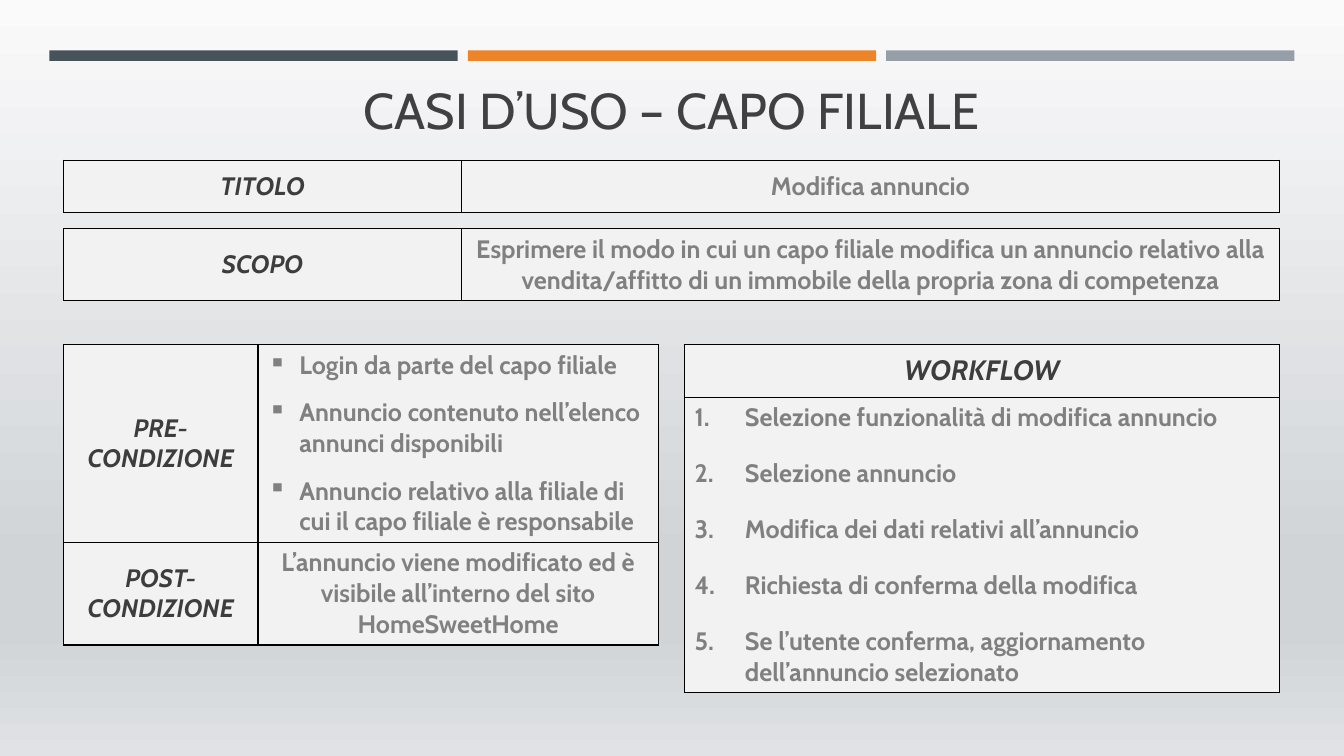
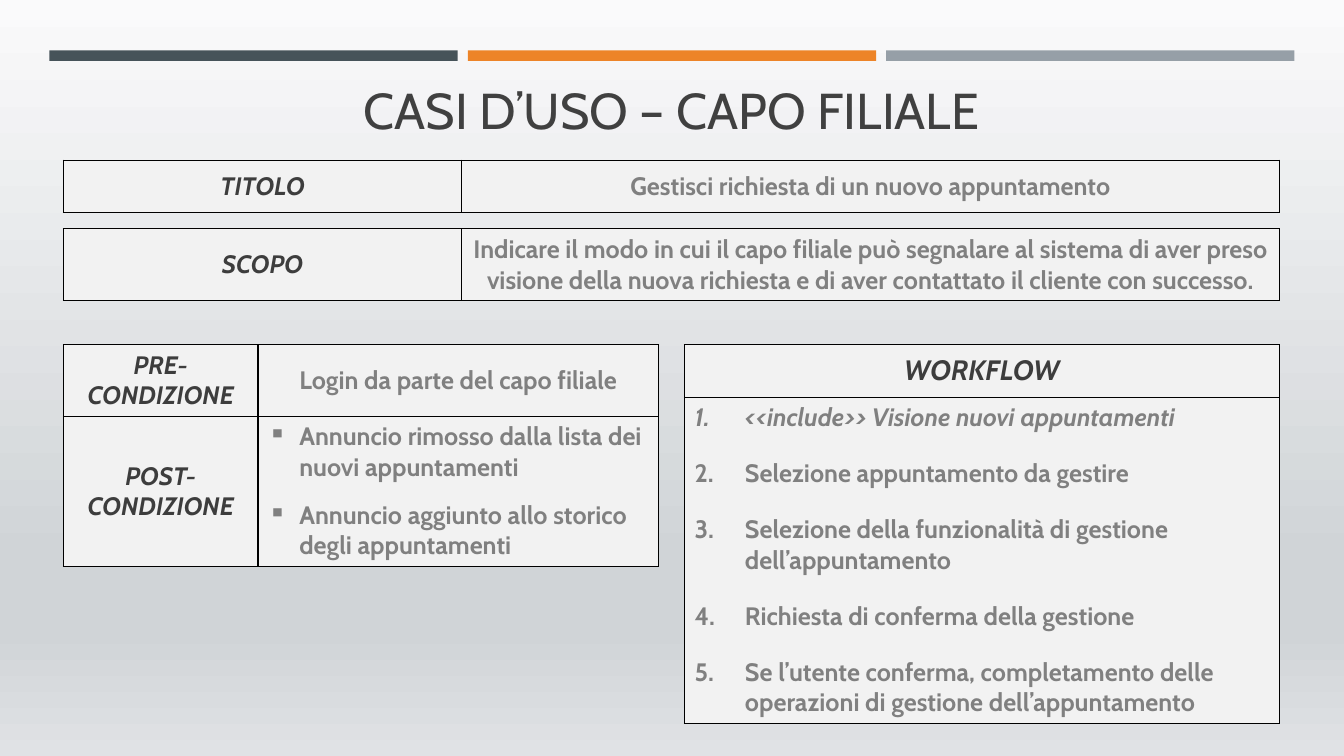
"""Builds two use-case slides for the branch manager of an estate agency."""
from dataclasses import dataclass
from typing import Optional

from pptx import Presentation
from pptx import util as u
from pptx.dml.color import RGBColor
from pptx.enum import shapes, text
from pptx.oxml.ns import qn
from lxml import etree


@dataclass(frozen=True)
class Theme:
    font: str = "Cabin"
    title: str = "404040"
    label: str = "3D3D3D"
    body: str = "808080"
    cell: str = "F2F2F2"
    border: str = "000000"
    bars: tuple = ("465359", "ED8428", "969FA7")
    backdrop: tuple = ((0, "FAFAFB"), (74, "D0D4D7"), (83, "D0D4D7"), (100, "E0E2E5"))
    title_size: int = 36
    heading_size: int = 20
    body_size: int = 18
    border_width: int = 1


@dataclass(frozen=True)
class Marker:
    tag: str
    attribute: str
    value: str
    indent: float
    gap: int
    last_gap: int


@dataclass(frozen=True)
class Cell:
    lines: tuple
    label: bool = False
    size: int = 18
    marker: Optional[Marker] = None
    italic_lines: tuple = ()


@dataclass(frozen=True)
class Grid:
    left: float
    top: float
    columns: tuple
    heights: tuple
    rows: tuple


@dataclass(frozen=True)
class UseCase:
    name: str
    purpose: str
    before: Cell
    after: Cell
    condition_heights: tuple
    steps: Cell
    steps_height: float


THEME = Theme()
SLIDE_WIDTH, SLIDE_HEIGHT = u.Inches(13.33), u.Inches(7.5)
HEADING = "CASI D’USO – CAPO FILIALE"

LEFT, WIDTH, HALF = 4.72, 90.47, 44.26
WIDE_COLUMNS = (29.63, 60.84)
CONDITION_COLUMNS = (14.48, 29.78)
ROW = 6.93
NAME_TOP, PURPOSE_TOP, DETAILS_TOP = 21.2, 30.27, 45.6
PURPOSE_HEIGHT = 9.47
BAR_LEFT, BAR_TOP, BAR_WIDTH, BAR_HEIGHT, BAR_STEP = 3.68, 6.67, 30.38, 1.4, 31.13
TITLE_TOP, TITLE_HEIGHT = 8.27, 10.93

SQUARES = Marker("a:buChar", "char", "▪", 0.31, 12, 6)
NUMBERS = Marker("a:buAutoNum", "type", "arabicPeriod", 0.5, 18, 6)

USE_CASES = (
    UseCase(
        name="Modifica annuncio",
        purpose="Esprimere il modo in cui un capo filiale modifica un annuncio relativo alla "
                "vendita/affitto di un immobile della propria zona di competenza",
        before=Cell((
            "Login da parte del capo filiale",
            "Annuncio contenuto nell’elenco annunci disponibili",
            "Annuncio relativo alla filiale di cui il capo filiale è responsabile",
        ), marker=SQUARES),
        after=Cell(("L’annuncio viene modificato ed è visibile all’interno del sito HomeSweetHome",)),
        condition_heights=(26, 13.6),
        steps=Cell((
            "Selezione funzionalità di modifica annuncio",
            "Selezione annuncio",
            "Modifica dei dati relativi all’annuncio",
            "Richiesta di conferma della modifica",
            "Se l’utente conferma, aggiornamento dell’annuncio selezionato",
        ), marker=NUMBERS),
        steps_height=38.93,
    ),
    UseCase(
        name="Gestisci richiesta di un nuovo appuntamento",
        purpose="Indicare il modo in cui il capo filiale può segnalare al sistema di aver preso "
                "visione della nuova richiesta e di aver contattato il cliente con successo.",
        before=Cell(("Login da parte del capo filiale",)),
        after=Cell((
            "Annuncio rimosso dalla lista dei nuovi appuntamenti",
            "Annuncio aggiunto allo storico degli appuntamenti",
        ), marker=SQUARES),
        condition_heights=(9.33, 19.87),
        steps=Cell((
            "<<include>> Visione nuovi appuntamenti",
            "Selezione appuntamento da gestire",
            "Selezione della funzionalità di gestione dell’appuntamento",
            "Richiesta di conferma della gestione",
            "Se l’utente conferma, completamento delle operazioni di gestione dell’appuntamento",
        ), marker=NUMBERS, italic_lines=(0,)),
        steps_height=42.93,
    ),
)


def across(percent: float) -> int:
    """Turn a percentage of the slide's width into a length."""
    return round(SLIDE_WIDTH * percent / 100)


def down(percent: float) -> int:
    """Turn a percentage of the slide's height into a length."""
    return round(SLIDE_HEIGHT * percent / 100)


def add_run(paragraph, words: str, size: int, colour: str, bold: bool, italic: bool) -> None:
    """Add one formatted run to a paragraph."""
    run = paragraph.add_run()
    run.text = words
    run.font.name = THEME.font
    run.font.size = u.Pt(size)
    run.font.bold = bold
    run.font.italic = italic
    run.font.color.rgb = RGBColor.from_string(colour)


def add_marker(paragraph, marker: Marker, last: bool) -> None:
    """Give a paragraph its hanging indent, spacing and list marker."""
    paragraph.space_after = u.Pt(marker.last_gap if last else marker.gap)
    properties = paragraph._p.get_or_add_pPr()
    properties.set("marL", str(u.Inches(marker.indent)))
    properties.set("indent", str(-u.Inches(marker.indent)))
    etree.SubElement(properties, qn(marker.tag)).set(marker.attribute, marker.value)


def add_borders(cell) -> None:
    """Draw a thin line on all four sides of a table cell."""
    properties = cell._tc.get_or_add_tcPr()
    for position, side in enumerate("LRTB"):
        line = etree.Element(qn(f"a:ln{side}"), w=str(u.Pt(THEME.border_width)))
        fill = etree.SubElement(line, qn("a:solidFill"))
        etree.SubElement(fill, qn("a:srgbClr"), val=THEME.border)
        properties.insert(position, line)


def fill_cell(target, content: Cell) -> None:
    """Write and format the content of one table cell."""
    target.fill.solid()
    target.fill.fore_color.rgb = RGBColor.from_string(THEME.cell)
    target.vertical_anchor = text.MSO_ANCHOR.MIDDLE
    add_borders(target)
    frame = target.text_frame
    colour = THEME.label if content.label else THEME.body
    for index, words in enumerate(content.lines):
        paragraph = frame.add_paragraph() if index else frame.paragraphs[0]
        if content.marker:
            paragraph.alignment = text.PP_ALIGN.LEFT
            add_marker(paragraph, content.marker, index == len(content.lines) - 1)
        else:
            paragraph.alignment = text.PP_ALIGN.CENTER
        italic = content.label or index in content.italic_lines
        add_run(paragraph, words, content.size, colour, True, italic)


def draw_grid(slide, grid: Grid) -> None:
    """Draw a bordered table from its grid description."""
    table = slide.shapes.add_table(
        len(grid.heights), len(grid.columns), across(grid.left), down(grid.top),
        across(sum(grid.columns)), down(sum(grid.heights))).table
    table.first_row = table.horz_banding = False
    for column, width in zip(table.columns, grid.columns):
        column.width = across(width)
    for row, height, contents in zip(table.rows, grid.heights, grid.rows):
        row.height = down(height)
        for target, content in zip(row.cells, contents):
            fill_cell(target, content)


def paint_backdrop(layout) -> None:
    """Give the layout a vertical gradient background."""
    fill = layout.background.fill
    fill.gradient()
    fill.gradient_angle = 270
    stops = layout.element.find(f".//{qn('a:gsLst')}")
    for stop in list(stops):
        stops.remove(stop)
    for position, colour in THEME.backdrop:
        stop = etree.SubElement(stops, qn("a:gs"), pos=str(position * 1000))
        etree.SubElement(stop, qn("a:srgbClr"), val=colour)


def prepare_layout(layout) -> None:
    """Place the title and drop the footers of the layout."""
    for holder in list(layout.placeholders):
        if holder.placeholder_format.type == shapes.PP_PLACEHOLDER.TITLE:
            holder.left, holder.top = across(LEFT), down(TITLE_TOP)
            holder.width, holder.height = across(WIDTH), down(TITLE_HEIGHT)
        else:
            holder.element.getparent().remove(holder.element)
    paint_backdrop(layout)


def move_bars_to_layout(slide, layout) -> None:
    """Draw the three coloured bars and hand them to the layout."""
    for index, colour in enumerate(THEME.bars):
        bar = slide.shapes.add_shape(
            shapes.MSO_SHAPE.RECTANGLE, across(BAR_LEFT + index * BAR_STEP), down(BAR_TOP),
            across(BAR_WIDTH), down(BAR_HEIGHT))
        bar.shadow.inherit = False
        bar.fill.solid()
        bar.fill.fore_color.rgb = RGBColor.from_string(colour)
        bar.line.fill.background()
        layout.shapes.element.append(bar.element)


def write_heading(slide) -> None:
    """Write the shared heading in the title placeholder."""
    frame = slide.shapes.title.text_frame
    frame.word_wrap = True
    frame.auto_size = text.MSO_AUTO_SIZE.NONE
    frame.vertical_anchor = text.MSO_ANCHOR.BOTTOM
    paragraph = frame.paragraphs[0]
    paragraph.alignment = text.PP_ALIGN.CENTER
    add_run(paragraph, HEADING, THEME.title_size, THEME.title, False, False)


def label(words: str, size: int = THEME.body_size) -> Cell:
    """Describe a cell that names its row or column."""
    return Cell((words,), label=True, size=size)


def draw_use_case(slide, case: UseCase) -> None:
    """Draw the four tables of one use case."""
    grids = (
        Grid(LEFT + WIDTH - HALF, DETAILS_TOP, (HALF,), (ROW, case.steps_height),
             ((label("WORKFLOW", THEME.heading_size),), (case.steps,))),
        Grid(LEFT, PURPOSE_TOP, WIDE_COLUMNS, (PURPOSE_HEIGHT,),
             ((label("SCOPO"), Cell((case.purpose,))),)),
        Grid(LEFT, DETAILS_TOP, CONDITION_COLUMNS, case.condition_heights,
             ((label("PRE-CONDIZIONE"), case.before), (label("POST-CONDIZIONE"), case.after))),
        Grid(LEFT, NAME_TOP, WIDE_COLUMNS, (ROW,),
             ((label("TITOLO"), Cell((case.name,))),)),
    )
    for grid in grids:
        draw_grid(slide, grid)


def main() -> None:
    """Build and save the presentation."""
    deck = Presentation()
    deck.slide_width, deck.slide_height = SLIDE_WIDTH, SLIDE_HEIGHT
    layout = deck.slide_layouts.get_by_name("Title Only")
    prepare_layout(layout)
    slides = [deck.slides.add_slide(layout) for _ in USE_CASES]
    move_bars_to_layout(slides[0], layout)
    for slide, case in zip(slides, USE_CASES):
        write_heading(slide)
        draw_use_case(slide, case)
    deck.save("out.pptx")


if __name__ == "__main__":
    main()
